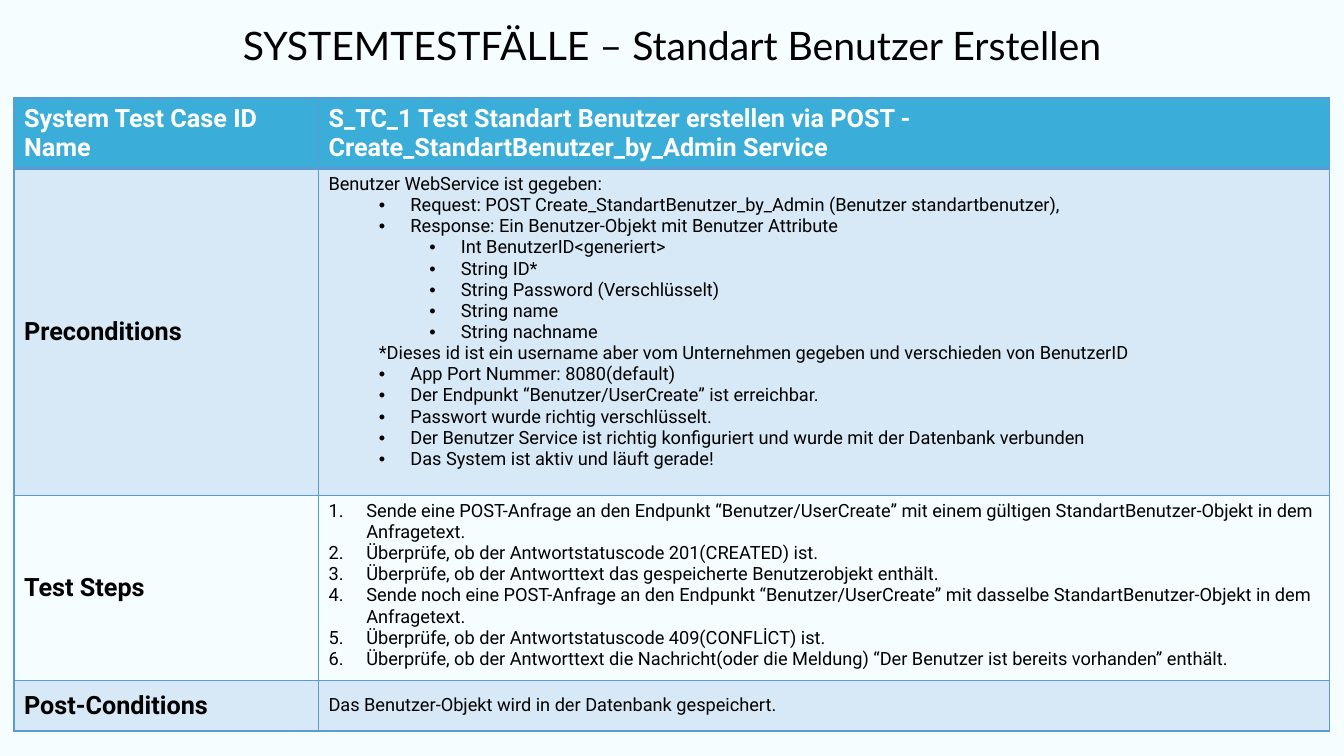
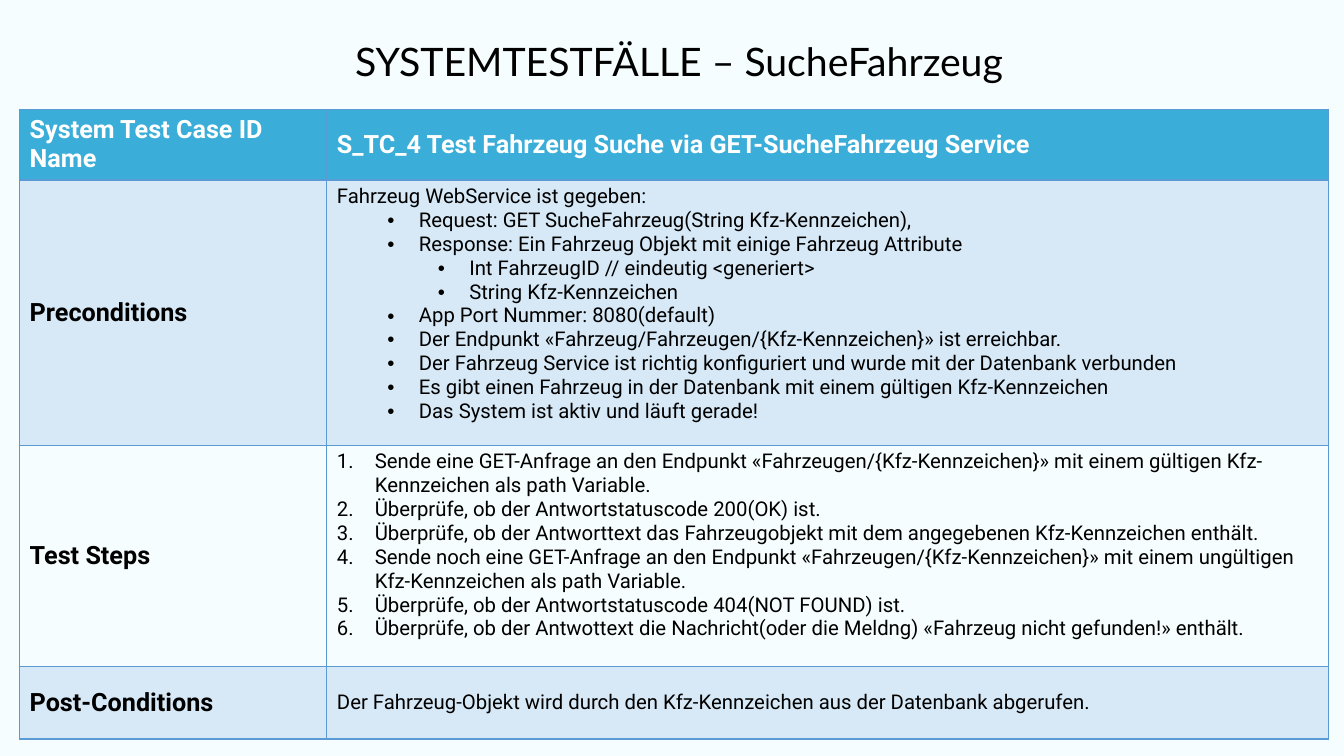
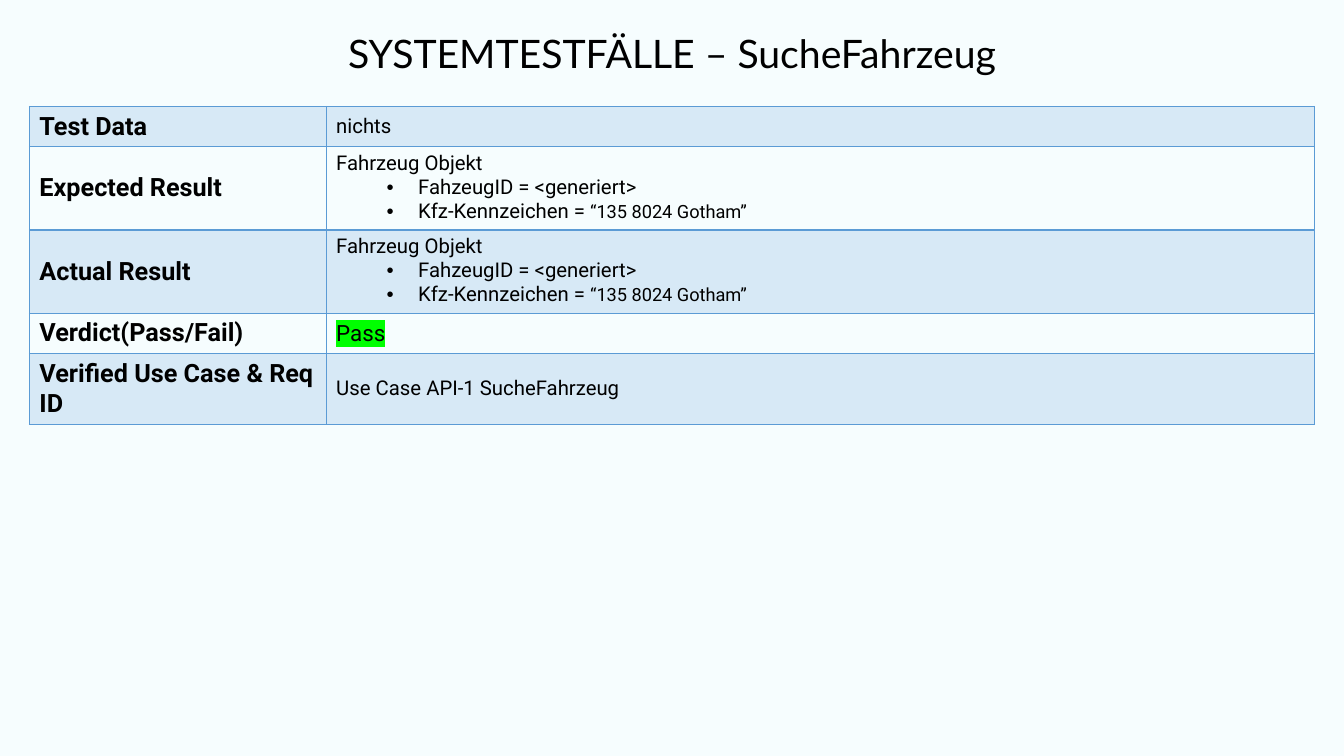
from dataclasses import dataclass
from typing import NamedTuple

from lxml.etree import SubElement
from pptx import Presentation
from pptx.dml.color import RGBColor
from pptx.enum.text import MSO_ANCHOR, PP_ALIGN
from pptx.oxml.ns import qn
from pptx.util import Pt

# Shared look
PAGE, BAND, HEADER, BORDER = "F6FDFE", "D7E9F6", "3AADD9", "5B9BD5"
BLACK, WHITE, GREEN = "000000", "FFFFFF", "00FF00"
TITLE_FONT, TABLE_FONT = "Lato", "Roboto"
TITLE_SIZE, LABEL_SIZE, SMALL_SIZE = 28, 18, 13
HEADER_LABEL = "System Test Case ID Name"


class Indent(NamedTuple):
    level: int
    margin: float
    hanging: float
    bullet: str = ""


PLAIN = Indent(0, 0, 0)
NOTE = Indent(1, 36, 0)
POINT = Indent(1, 58.5, 22.5, "•")
SUBPOINT = Indent(2, 94.5, 22.5, "•")
STEP = Indent(0, 27, 27, "1.")


@dataclass(frozen=True)
class Line:
    text: str
    indent: Indent = PLAIN
    small_tail: str = ""


@dataclass(frozen=True)
class Row:
    label: str
    lines: list[Line]
    height: float
    size: float = 0
    highlight: str = ""


@dataclass(frozen=True)
class Page:
    title: str
    title_box: tuple[float, float, float, float]
    corner: tuple[float, float]
    columns: tuple[float, float]
    size: float
    rows: list[Row]
    has_header: bool = True


def lines_of(indent: Indent, *texts: str) -> list[Line]:
    return [Line(text, indent) for text in texts]


# Content
VEHICLE = [
    Line("Fahrzeug Objekt"),
    Line("FahzeugID = <generiert>", POINT),
    Line("Kfz-Kennzeichen = ", POINT, "“135 8024 Gotham”"),
]

PAGES = [
    Page(
        "SYSTEMTESTFÄLLE – Standart Benutzer Erstellen",
        (21, 17, 918, 34), (10, 70), (217.5, 722), 13,
        [
            Row(HEADER_LABEL, [Line(
                "S_TC_1 Test Standart Benutzer erstellen via POST - "
                "Create_StandartBenutzer_by_Admin Service")], 50),
            Row("Preconditions", [
                Line("Benutzer WebService ist gegeben:"),
                *lines_of(
                    POINT,
                    "Request: POST Create_StandartBenutzer_by_Admin (Benutzer standartbenutzer),",
                    "Response: Ein Benutzer-Objekt mit Benutzer Attribute"),
                *lines_of(
                    SUBPOINT,
                    "Int BenutzerID<generiert>",
                    "String ID*",
                    "String Password (Verschlüsselt)",
                    "String name",
                    "String nachname"),
                Line("*Dieses id ist ein username aber vom Unternehmen gegeben "
                     "und verschieden von BenutzerID", NOTE),
                *lines_of(
                    POINT,
                    "App Port Nummer: 8080(default)",
                    "Der Endpunkt “Benutzer/UserCreate” ist erreichbar.",
                    "Passwort wurde richtig verschlüsselt.",
                    "Der Benutzer Service ist richtig konfiguriert und wurde mit der Datenbank verbunden",
                    "Das System ist aktiv und läuft gerade!"),
            ], 233.5),
            Row("Test Steps", lines_of(
                STEP,
                "Sende eine POST-Anfrage an den Endpunkt “Benutzer/UserCreate” "
                "mit einem gültigen StandartBenutzer-Objekt in dem Anfragetext.",
                "Überprüfe, ob der Antwortstatuscode 201(CREATED) ist.",
                "Überprüfe, ob der Antworttext das gespeicherte Benutzerobjekt enthält.",
                "Sende noch eine POST-Anfrage an den Endpunkt “Benutzer/UserCreate” "
                "mit dasselbe StandartBenutzer-Objekt in dem Anfragetext.",
                "Überprüfe, ob der Antwortstatuscode 409(CONFLİCT) ist.",
                "Überprüfe, ob der Antworttext die Nachricht(oder die Meldung) "
                "“Der Benutzer ist bereits vorhanden” enthält."), 128.5),
            Row("Post-Conditions", [
                Line("Das Benutzer-Objekt wird in der Datenbank gespeichert.")], 36),
        ],
    ),
    Page(
        "SYSTEMTESTFÄLLE – SucheFahrzeug",
        (26, 28.5, 918, 34), (14, 78), (219.5, 715.5), 14.5,
        [
            Row(HEADER_LABEL, [
                Line("S_TC_4 Test Fahrzeug Suche via GET-SucheFahrzeug Service")], 50),
            Row("Preconditions", [
                Line("Fahrzeug WebService ist gegeben:"),
                *lines_of(
                    POINT,
                    "Request: GET SucheFahrzeug(String Kfz-Kennzeichen),",
                    "Response: Ein Fahrzeug Objekt mit einige Fahrzeug Attribute"),
                *lines_of(
                    SUBPOINT,
                    "Int FahrzeugID // eindeutig <generiert>",
                    "String Kfz-Kennzeichen"),
                *lines_of(
                    POINT,
                    "App Port Nummer: 8080(default)",
                    "Der Endpunkt «Fahrzeug/Fahrzeugen/{Kfz-Kennzeichen}» ist erreichbar.",
                    "Der Fahrzeug Service ist richtig konfiguriert und wurde mit der Datenbank verbunden",
                    "Es gibt einen Fahrzeug in der Datenbank mit einem gültigen Kfz-Kennzeichen",
                    "Das System ist aktiv und läuft gerade!"),
            ], 189.5),
            Row("Test Steps", lines_of(
                STEP,
                "Sende eine GET-Anfrage an den Endpunkt «Fahrzeugen/{Kfz-Kennzeichen}» "
                "mit einem gültigen Kfz-Kennzeichen als path Variable.",
                "Überprüfe, ob der Antwortstatuscode 200(OK) ist.",
                "Überprüfe, ob der Antworttext das Fahrzeugobjekt mit dem angegebenen "
                "Kfz-Kennzeichen enthält.",
                "Sende noch eine GET-Anfrage an den Endpunkt «Fahrzeugen/{Kfz-Kennzeichen}» "
                "mit einem ungültigen Kfz-Kennzeichen als path Variable.",
                "Überprüfe, ob der Antwortstatuscode 404(NOT FOUND) ist.",
                "Überprüfe, ob der Antwottext die Nachricht(oder die Meldng) "
                "«Fahrzeug nicht gefunden!» enthält."), 158),
            Row("Post-Conditions", [Line(
                "Der Fahrzeug-Objekt wird durch den Kfz-Kennzeichen "
                "aus der Datenbank abgerufen.")], 52),
        ],
    ),
    Page(
        "SYSTEMTESTFÄLLE – SucheFahrzeug",
        (21, 20, 918, 40), (21, 76), (212, 706), 14.5,
        [
            Row("Test Data", [Line("nichts")], 28.5),
            Row("Expected Result", VEHICLE, 58),
            Row("Actual Result", VEHICLE, 58.5),
            Row("Verdict(Pass/Fail)", [Line("Pass")], 28.5, 16, GREEN),
            Row("Verified Use Case & Req ID", [Line("Use Case API-1 SucheFahrzeug")], 49.5),
        ],
        has_header=False,
    ),
]


def colour(value: str) -> RGBColor:
    return RGBColor.from_string(value)


def format_span(span, font: str, size: float, ink: str, bold: bool = False) -> None:
    span.font.name = font
    span.font.size = Pt(size)
    span.font.bold = bold
    span.font.color.rgb = colour(ink)


def highlight_span(span, value: str) -> None:
    properties = span.font._element
    mark = SubElement(properties, qn("a:highlight"))
    SubElement(mark, qn("a:srgbClr"), val=value)
    properties.find(qn("a:solidFill")).addnext(mark)


def indent_paragraph(para, indent: Indent) -> None:
    para.level = indent.level
    properties = para._p.get_or_add_pPr()
    properties.set("marL", str(Pt(indent.margin)))
    properties.set("indent", str(-Pt(indent.hanging)))
    if indent.bullet == "•":
        SubElement(properties, qn("a:buFont"), typeface="Arial")
        SubElement(properties, qn("a:buChar"), char=indent.bullet)
    elif indent.bullet:
        SubElement(properties, qn("a:buAutoNum"), type="arabicPeriod")


def style_cell(cell, fill: str, top: float, bottom: float) -> None:
    properties = cell._tc.get_or_add_tcPr()
    for side, width in (("L", 1), ("R", 1), ("T", top), ("B", bottom)):
        edge = SubElement(properties, qn(f"a:ln{side}"), w=str(Pt(width)))
        SubElement(SubElement(edge, qn("a:solidFill")), qn("a:srgbClr"), val=BORDER)
    cell.fill.solid()
    cell.fill.fore_color.rgb = colour(fill)


def fill_cell(cell, lines: list[Line], size: float, ink: str, bold: bool,
              highlight: str = "") -> None:
    frame = cell.text_frame
    frame.text = "\n".join(line.text for line in lines)
    cell.vertical_anchor = MSO_ANCHOR.MIDDLE if len(lines) == 1 else MSO_ANCHOR.TOP
    for para, line in zip(frame.paragraphs, lines):
        indent_paragraph(para, line.indent)
        span = para.runs[0]
        format_span(span, TABLE_FONT, size, ink, bold)
        if highlight:
            highlight_span(span, highlight)
        if line.small_tail:
            tail = para.add_run()
            tail.text = line.small_tail
            format_span(tail, TABLE_FONT, SMALL_SIZE, ink, bold)


def add_title(slide, page: Page) -> None:
    box = slide.shapes.add_textbox(*map(Pt, page.title_box))
    frame = box.text_frame
    frame.word_wrap = True
    frame.vertical_anchor = MSO_ANCHOR.MIDDLE
    frame.text = page.title
    para = frame.paragraphs[0]
    para.alignment = PP_ALIGN.CENTER
    para.line_spacing = 0.9
    format_span(para.runs[0], TITLE_FONT, TITLE_SIZE, BLACK)


def add_case_table(slide, page: Page) -> None:
    size = (sum(page.columns), sum(row.height for row in page.rows))
    table = slide.shapes.add_table(
        len(page.rows), len(page.columns), *map(Pt, page.corner + size)).table
    table.first_row = page.has_header
    table.horz_banding = False
    for column, width in zip(table.columns, page.columns):
        column.width = Pt(width)

    for number, row in enumerate(page.rows):
        table.rows[number].height = Pt(row.height)
        position = number - page.has_header
        is_header = position < 0
        fill = HEADER if is_header else (BAND, PAGE)[position % 2]
        ink = WHITE if is_header else BLACK
        top = 2 if page.has_header and position == 0 else 1
        label, body = table.cell(number, 0), table.cell(number, 1)
        for cell in (label, body):
            style_cell(cell, fill, top, 2 if is_header else 1)
        fill_cell(label, [Line(row.label)], LABEL_SIZE, ink, True)
        body_size = LABEL_SIZE if is_header else row.size or page.size
        fill_cell(body, row.lines, body_size, ink, is_header, row.highlight)


def main() -> None:
    deck = Presentation()
    deck.slide_width, deck.slide_height = Pt(960), Pt(540)
    background = deck.slide_master.background.fill
    background.solid()
    background.fore_color.rgb = colour(PAGE)
    for page in PAGES:
        slide = deck.slides.add_slide(deck.slide_layouts[6])
        add_title(slide, page)
        add_case_table(slide, page)
    deck.save("out.pptx")


if __name__ == "__main__":
    main()
